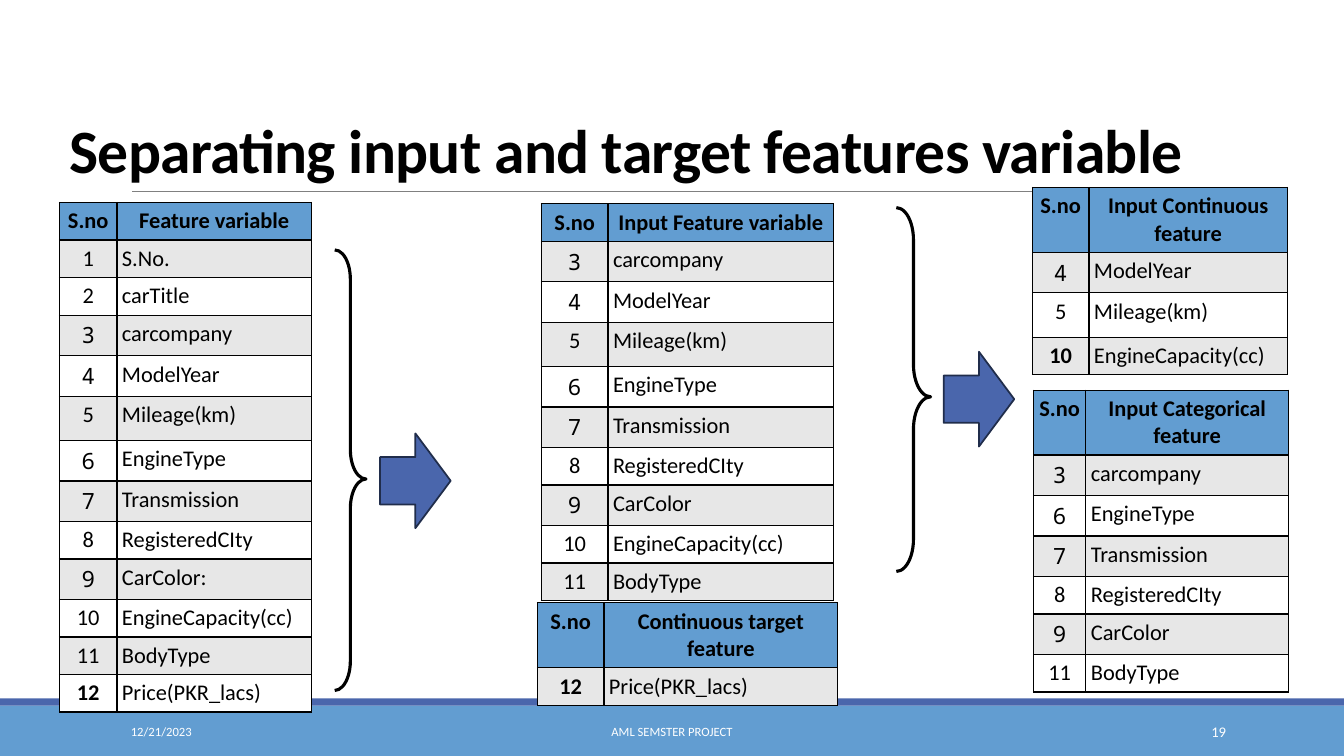
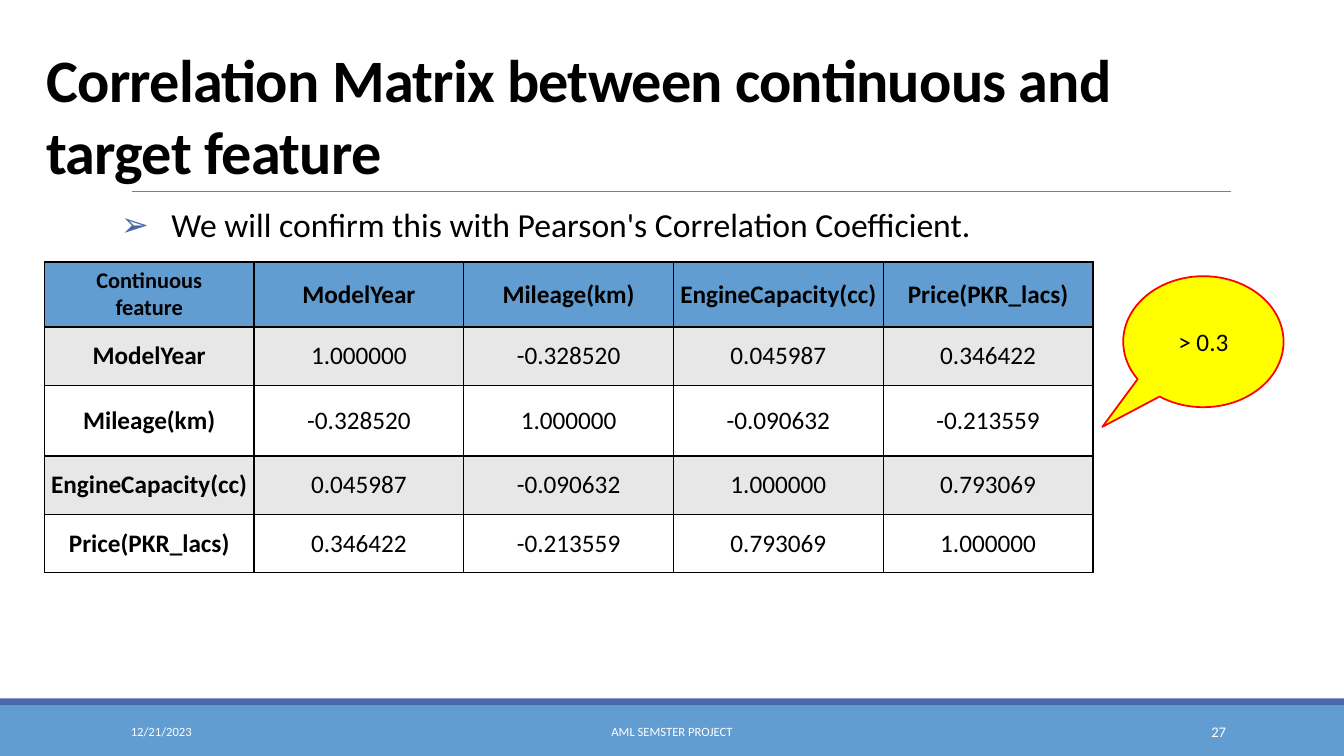
from lxml import etree
from pptx import Presentation
from pptx import util as u
from pptx.dml.color import RGBColor
from pptx.enum import shapes, text
from pptx.oxml import ns

BLACK = RGBColor(0x00, 0x00, 0x00)
WHITE = RGBColor(0xFF, 0xFF, 0xFF)
SKY = RGBColor(0x62, 0x9D, 0xD1)
INDIGO = RGBColor(0x4A, 0x66, 0xAC)
NAVY = RGBColor(0x20, 0x2D, 0x4B)
GREY = RGBColor(0x80, 0x80, 0x80)
PALE = RGBColor(0xE7, 0xE7, 0xE7)
YELLOW = RGBColor(0xFF, 0xFF, 0x00)
RED = RGBColor(0xFF, 0x00, 0x00)

FONT = "Calibri"
NUMBER_FONT = "Noto Sans Mono"
TITLE_ONLY, TITLE_AND_BODY = 5, 1
LEFT, CENTER, RIGHT = text.PP_ALIGN.LEFT, text.PP_ALIGN.CENTER, text.PP_ALIGN.RIGHT
TOP, MIDDLE, BOTTOM = text.MSO_ANCHOR.TOP, text.MSO_ANCHOR.MIDDLE, text.MSO_ANCHOR.BOTTOM
SHAPE = shapes.MSO_SHAPE

FEATURES = {
    1: "S.No.", 2: "carTitle", 3: "carcompany", 4: "ModelYear",
    5: "Mileage(km)", 6: "EngineType", 7: "Transmission",
    8: "RegisteredCIty", 9: "CarColor", 10: "EngineCapacity(cc)",
    11: "BodyType", 12: "Price(PKR_lacs)",
}
MONO_NUMBERS = {3, 4, 6, 7, 9}


def add_xml(parent, tag, **attributes):
    return etree.SubElement(parent, ns.qn(tag), attributes)


def write(frame, content, size=18, color=BLACK, bold=False, font=FONT,
          align=LEFT, anchor=TOP, line_spacing=None, tracking=None):
    frame.word_wrap = True
    frame.auto_size = text.MSO_AUTO_SIZE.NONE
    frame.vertical_anchor = anchor
    for index, line in enumerate(content.split("\n")):
        paragraph = frame.add_paragraph() if index else frame.paragraphs[0]
        paragraph.alignment = align
        paragraph.line_spacing = line_spacing
        run = paragraph.add_run()
        run.text = line
        run.font.name = font
        run.font.size = u.Pt(size)
        run.font.bold = bold
        run.font.color.rgb = color
        if tracking is not None:
            run._r.get_or_add_rPr().set("spc", str(int(tracking * 100)))


def place(shape, left, top, width, height):
    shape.left, shape.top = u.Inches(left), u.Inches(top)
    shape.width, shape.height = u.Inches(width), u.Inches(height)


class Deck:
    def __init__(self):
        self.presentation = Presentation()
        self.presentation.slide_width = u.Inches(13.33)
        self.presentation.slide_height = u.Inches(7.5)
        self.slide = None

    def add_slide(self, layout, number):
        layouts = self.presentation.slide_layouts
        self.slide = self.presentation.slides.add_slide(layouts[layout])
        self.shape(SHAPE.RECTANGLE, 0, 7, 13.33, 0.5, fill=SKY)
        self.shape(SHAPE.RECTANGLE, 0, 6.93, 13.33, 0.07, fill=INDIGO)
        self.rule(1.31, 1.9, 12.21)
        self.footer("12/21/2023", 1.2, 2.7, LEFT)
        self.footer("AML SEMSTER PROJECT", 4.03, 5.27, CENTER)
        self.footer(str(number), 10.83, 1.43, RIGHT, size=10.5)

    def footer(self, content, left, width, align, size=9):
        box = self.slide.shapes.add_textbox(
            u.Inches(left), u.Inches(7.06), u.Inches(width), u.Inches(0.4))
        write(box.text_frame, content, size=size, color=WHITE, align=align, anchor=MIDDLE)

    def rule(self, left, top, right):
        line = self.slide.shapes.add_connector(
            shapes.MSO_CONNECTOR.STRAIGHT, u.Inches(left), u.Inches(top),
            u.Inches(right), u.Inches(top))
        line.line.color.rgb = GREY
        line.line.width = u.Pt(0.5)
        add_xml(line._element.spPr, "a:effectLst")

    def title(self, content, left, width, size, line_spacing):
        title = self.slide.shapes.title
        place(title, left, 0.31, width, 1.59)
        write(title.text_frame, content, size=size, bold=True, anchor=BOTTOM,
              line_spacing=line_spacing, tracking=-0.5)

    def bullet(self, content):
        body = self.slide.placeholders[1]
        place(body, 1.2, 2.02, 11, 4.63)
        frame = body.text_frame
        frame.margin_left = frame.margin_right = 0
        write(frame, content, size=24, line_spacing=0.9)
        paragraph = frame.paragraphs[0]
        paragraph.space_before, paragraph.space_after = u.Pt(12), u.Pt(2)
        properties = paragraph._p.get_or_add_pPr()
        properties.set("marL", str(u.Inches(0.5)))
        properties.set("indent", str(-u.Inches(0.5)))
        color = add_xml(properties, "a:buClr")
        add_xml(color, "a:srgbClr", val=str(INDIGO))
        add_xml(properties, "a:buChar", char="➢")

    def shape(self, kind, left, top, width, height, fill=None, line=None,
              line_width=1.25, adjustments=()):
        shape = self.slide.shapes.add_shape(
            kind, u.Inches(left), u.Inches(top), u.Inches(width), u.Inches(height))
        shape.shadow.inherit = False
        for index, value in enumerate(adjustments):
            shape.adjustments[index] = value
        if fill is None:
            shape.fill.background()
        else:
            shape.fill.solid()
            shape.fill.fore_color.rgb = fill
        if line is None:
            shape.line.fill.background()
        else:
            shape.line.color.rgb = line
            shape.line.width = u.Pt(line_width)
        return shape

    def brace(self, left, top, width, height):
        self.shape(SHAPE.RIGHT_BRACE, left, top, width, height, line=BLACK,
                   line_width=2.25, adjustments=(0.94, 0.52))

    def arrow(self, left, top):
        self.shape(SHAPE.RIGHT_ARROW, left, top, 0.7, 0.94, fill=INDIGO, line=NAVY)

    def callout(self, content, left, top, width, height):
        callout = self.shape(SHAPE.OVAL_CALLOUT, left, top, width, height,
                             fill=YELLOW, line=RED, adjustments=(-0.63, 0.65))
        write(callout.text_frame, content, align=CENTER, anchor=MIDDLE)

    def table(self, left, top, widths, heights):
        table = self.slide.shapes.add_table(
            len(heights), len(widths), u.Inches(left), u.Inches(top),
            u.Inches(sum(widths)), u.Inches(sum(heights))).table
        for column, width in zip(table.columns, widths):
            column.width = u.Inches(width)
        for row, height in zip(table.rows, heights):
            row.height = u.Inches(height)
        return table

    def cell(self, table, row, column, content, **style):
        cell = table.cell(row, column)
        cell.margin_left = cell.margin_right = u.Inches(0.05)
        cell.margin_top = cell.margin_bottom = u.Inches(0.05)
        anchor = style.pop("anchor", TOP)
        write(cell.text_frame, content, **style)
        cell.vertical_anchor = anchor
        properties = cell._tc.get_or_add_tcPr()
        for side in ("a:lnL", "a:lnR", "a:lnT", "a:lnB"):
            border = add_xml(properties, side, w=str(u.Pt(1)))
            add_xml(add_xml(border, "a:solidFill"), "a:srgbClr", val=str(BLACK))
        cell.fill.solid()
        cell.fill.fore_color.rgb = SKY if row == 0 else PALE if row % 2 else WHITE

    def feature_table(self, heading, numbers, left, top, widths,
                      header_height=0.37, bold_last=False, renamed=None):
        names = FEATURES | (renamed or {})
        heights = [header_height] + [
            0.4 if number in MONO_NUMBERS else 0.44 if number == 5 else 0.37
            for number in numbers]
        table = self.table(left, top, widths, heights)
        for column, label in enumerate(("S.no", heading)):
            self.cell(table, 0, column, label, size=16, bold=True, align=CENTER)
        for row, number in enumerate(numbers, 1):
            self.cell(table, row, 0, str(number), size=16, align=CENTER,
                      bold=bold_last and number == numbers[-1],
                      font=NUMBER_FONT if number in MONO_NUMBERS else FONT)
            self.cell(table, row, 1, names[number], size=16)

    def matrix(self, corner, labels, values, left, top, width, heights):
        table = self.table(left, top, [width] * (len(labels) + 1), heights)
        rows = [[corner, *labels]] + [[label, *line] for label, line in zip(labels, values)]
        for row, line in enumerate(rows):
            for column, content in enumerate(line):
                self.cell(table, row, column, content,
                          size=16 if row == column == 0 else 18,
                          bold=row == 0 or column == 0, align=CENTER, anchor=MIDDLE)


def feature_slide(deck):
    deck.add_slide(TITLE_ONLY, 19)
    deck.title("Separating input and target features variable", 0.59, 11.28, 44, 0.85)
    deck.feature_table("Feature variable", list(range(1, 13)), 0.59, 2.01, (0.57, 1.93),
                       bold_last=True, renamed={9: "CarColor:"})
    deck.feature_table("Input Categorical feature", [3, 6, 7, 8, 9, 11], 10.25, 3.87,
                       (0.52, 2.01), header_height=0.64)
    deck.feature_table("Input Continuous feature", [4, 5, 10], 10.24, 1.86,
                       (0.56, 1.97), header_height=0.64, bold_last=True)
    deck.feature_table("Continuous target feature", [12], 5.33, 5.98,
                       (0.66, 2.32), header_height=0.64, bold_last=True)
    deck.feature_table("Input Feature variable", list(range(3, 12)), 5.37, 2.02, (0.66, 2.24))
    deck.brace(3.32, 2.48, 0.31, 4.37)
    deck.arrow(3.77, 4.3)
    deck.brace(8.89, 2.06, 0.34, 3.61)
    deck.arrow(9.36, 3.49)


def correlation_slide(deck):
    deck.add_slide(TITLE_AND_BODY, 27)
    deck.title("Correlation Matrix between continuous and target feature", 0.36, 11, 43, 1.0)
    deck.bullet("We will confirm this with Pearson's Correlation Coefficient.")
    values = [
        ("1.000000", "-0.328520", "0.045987", "0.346422"),
        ("-0.328520", "1.000000", "-0.090632", "-0.213559"),
        ("0.045987", "-0.090632", "1.000000", "0.793069"),
        ("0.346422", "-0.213559", "0.793069", "1.000000"),
    ]
    labels = [FEATURES[number] for number in (4, 5, 10, 12)]
    deck.matrix("Continuous\nfeature", labels, values, 0.44, 2.6, 2.08,
                (0.64, 0.58, 0.7, 0.58, 0.58))
    deck.callout("> 0.3", 11.14, 2.74, 1.59, 1.3)


def main():
    deck = Deck()
    feature_slide(deck)
    correlation_slide(deck)
    deck.presentation.save("out.pptx")


if __name__ == "__main__":
    main()
